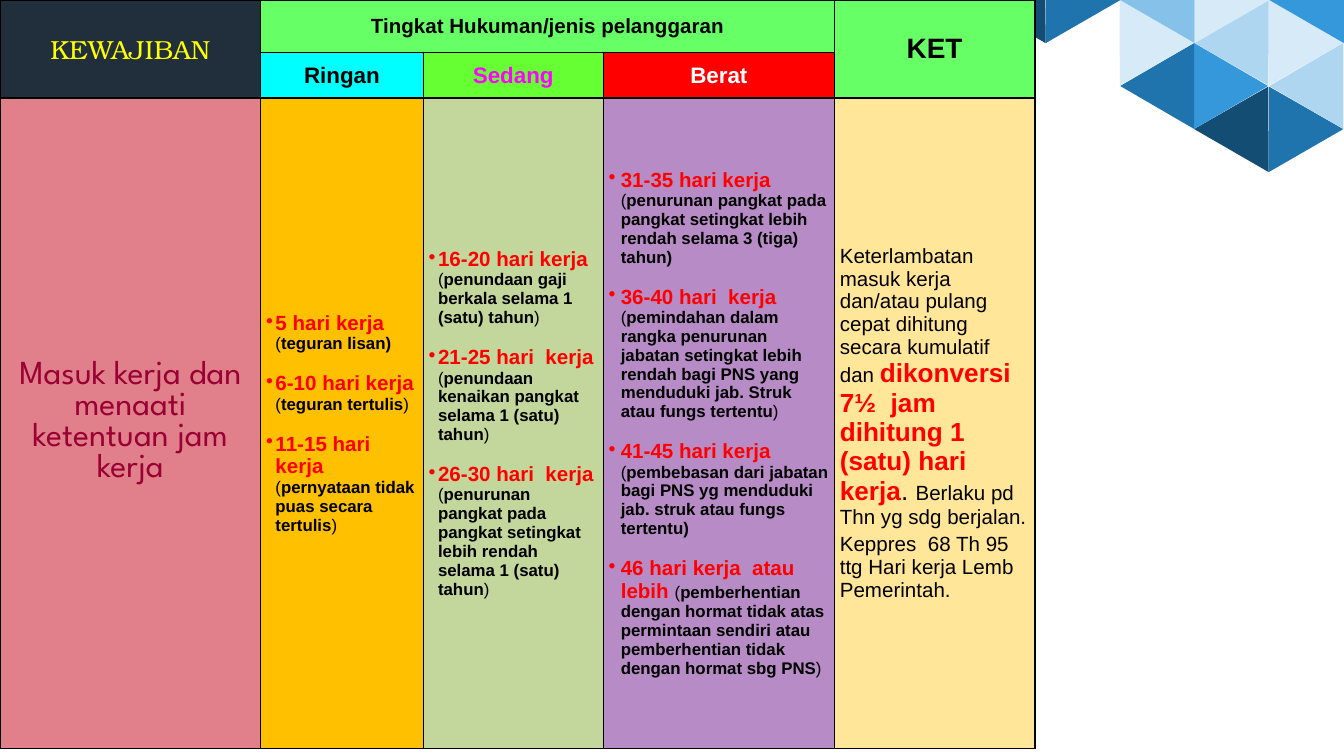
from math import cos, radians, sin

from lxml import etree
from pptx import Presentation
from pptx.dml.color import RGBColor
from pptx.enum.shapes import MSO_SHAPE
from pptx.enum.text import MSO_ANCHOR, PP_ALIGN
from pptx.oxml.ns import qn
from pptx.util import Inches, Pt

TRIANGLE = MSO_SHAPE.ISOSCELES_TRIANGLE
MIDDLE = MSO_ANCHOR.MIDDLE
CENTER, LEFT = PP_ALIGN.CENTER, PP_ALIGN.LEFT

BLACK = RGBColor(0x00, 0x00, 0x00)
WHITE = RGBColor(0xFF, 0xFF, 0xFF)
RED = RGBColor(0xFF, 0x00, 0x00)
YELLOW = RGBColor(0xFF, 0xFF, 0x00)
MAGENTA = RGBColor(0xFF, 0x00, 0xFF)
CYAN = RGBColor(0x00, 0xFF, 0xFF)
MAROON = RGBColor(0x99, 0x00, 0x33)
SLATE = RGBColor(0x21, 0x2E, 0x3C)
GREEN = RGBColor(0x66, 0xFF, 0x66)
LIME = RGBColor(0x66, 0xFF, 0x33)
ROSE = RGBColor(0xE1, 0x80, 0x8A)
AMBER = RGBColor(0xFF, 0xC0, 0x00)
SAGE = RGBColor(0xC3, 0xD6, 0x9B)
LILAC = RGBColor(0xB7, 0x8B, 0xC5)
CREAM = RGBColor(0xFF, 0xE6, 0x99)
NAVY = RGBColor(0x14, 0x4D, 0x73)
BLUE = RGBColor(0x1F, 0x74, 0xAD)
SKY = RGBColor(0x34, 0x98, 0xDB)
PALE_SKY = RGBColor(0x85, 0xC1, 0xE9)
PALE = RGBColor(0xAE, 0xD6, 0xF1)
PALEST = RGBColor(0xD6, 0xEA, 0xF8)

BODY_FONT = "Arial"
PAGE_WIDTH = 10
PAGE_HEIGHT = PAGE_WIDTH * 9 / 16
COLUMN_WIDTHS = [1.94, 1.21, 1.34, 1.72, 1.49]
ROW_HEIGHTS = [0.39, 0.33, 4.84]

# Hexagon centre relative to the corner box, then triangle rotation and colour
HEXAGONS = [
    (1.74, 0.64, [(30, NAVY), (330, BLUE), (270, PALE), (210, PALEST), (90, SKY), (150, PALE)]),
    (0.63, 0.64, [(270, BLUE), (210, PALEST)]),
    (1.19, -0.32, [(30, PALE_SKY), (330, PALEST)]),
    (0.08, -0.32, [(30, NAVY), (330, BLUE)]),
    (2.30, -0.32, [(30, SKY)]),
]

# Row, column, text, size, colour, fill, bold, font
LABELS = [
    (0, 0, "KEWAJIBAN", 14, YELLOW, SLATE, False, "TeX Gyre Bonum"),
    (0, 1, "Tingkat Hukuman/jenis pelanggaran", 11, BLACK, GREEN, True, BODY_FONT),
    (0, 4, "KET", 15, BLACK, GREEN, True, BODY_FONT),
    (1, 1, "Ringan", 12, BLACK, CYAN, True, BODY_FONT),
    (1, 2, "Sedang", 12, MAGENTA, LIME, True, BODY_FONT),
    (1, 3, "Berat", 12, WHITE, RED, True, BODY_FONT),
    (2, 0, "Masuk kerja dan menaati ketentuan jam kerja", 18, MAROON, ROSE, False, "League Spartan"),
]

# Column, fill, indent, then days absent, penalty and closing mark
PENALTIES = [
    (1, AMBER, 0.07, [
        ("5 hari kerja ", "teguran lisan)", ""),
        ("6-10 hari kerja ", "teguran tertulis", ")"),
        ("11-15 hari kerja ", "pernyataan tidak puas secara tertulis", ")"),
    ]),
    (2, SAGE, 0.07, [
        ("16-20 hari kerja ", "penundaan gaji berkala selama 1 (satu) tahun", ")"),
        ("21-25 hari  kerja ", "penundaan kenaikan pangkat selama 1 (satu) tahun", ")"),
        ("26-30 hari  kerja ",
         "penurunan pangkat pada pangkat setingkat lebih rendah selama 1 (satu) tahun", ")"),
    ]),
    (3, LILAC, 0.09, [
        ("31-35 hari kerja  ",
         "penurunan pangkat pada pangkat setingkat lebih rendah selama 3 (tiga) tahun)", ""),
        ("36-40 hari  kerja ",
         "pemindahan dalam rangka penurunan jabatan setingkat lebih rendah bagi PNS yang "
         "menduduki jab. Struk atau fungs tertentu", ")"),
        ("41-45 hari kerja  ",
         "pembebasan dari jabatan bagi PNS yg menduduki jab. struk atau fungs tertentu)", ""),
        ("46 hari kerja  atau lebih ",
         "pemberhentian dengan hormat tidak atas permintaan sendiri atau pemberhentian "
         "tidak dengan hormat sbg PNS", ")"),
    ]),
]

# Paragraphs of text, size, colour, bold
REMARKS = [
    [("Keterlambatan masuk kerja dan/atau pulang cepat dihitung secara kumulatif dan ",
      11, BLACK, False),
     ("dikonversi 7½  jam dihitung 1 (satu) hari kerja", 14, RED, True),
     (". ", 14, BLACK, False),
     ("Berlaku pd Thn yg sdg berjalan.", 11, BLACK, False)],
    [("Keppres  68 Th 95  ttg Hari kerja Lemb Pemerintah.", 11, BLACK, False)],
]


def add_hexagon_corner(page, left, top):
    """Each triangle points at the centre of its hexagon."""
    width, height, radius = 0.64, 0.55, 0.28
    for center_x, center_y, triangles in HEXAGONS:
        for rotation, color in triangles:
            x = left + center_x - radius * sin(radians(rotation)) - width / 2
            y = top + center_y + radius * cos(radians(rotation)) - height / 2
            shape = page.shapes.add_shape(
                TRIANGLE, Inches(x), Inches(y), Inches(width), Inches(height))
            shape.rotation = rotation
            shape.shadow.inherit = False
            shape.fill.solid()
            shape.fill.fore_color.rgb = color
            shape.line.fill.background()


def style_cell(cell, fill):
    cell.vertical_anchor = MIDDLE
    cell.margin_left = cell.margin_right = Inches(0.04)
    cell.margin_top = cell.margin_bottom = Inches(0.04)
    properties = cell._tc.get_or_add_tcPr()
    for side in ("a:lnL", "a:lnR", "a:lnT", "a:lnB"):
        line = etree.SubElement(properties, qn(side), w=str(Pt(1)))
        solid = etree.SubElement(line, qn("a:solidFill"))
        etree.SubElement(solid, qn("a:srgbClr"), val=str(BLACK))
    cell.fill.solid()
    cell.fill.fore_color.rgb = fill


def add_span(para, text, size, color, bold, font=BODY_FONT):
    span = para.add_run()
    span.text = text
    span.font.size = Pt(size)
    span.font.color.rgb = color
    span.font.bold = bold
    span.font.name = font


def write_paragraphs(cell, paragraphs, gap=0, indent=0, align=LEFT):
    """A positive indent makes a bulleted list."""
    frame = cell.text_frame
    for index, spans in enumerate(paragraphs):
        para = frame.add_paragraph() if index else frame.paragraphs[0]
        para.alignment = align
        if index:
            para.space_before = Pt(gap)
        if indent:
            properties = para._p.get_or_add_pPr()
            properties.set("marL", str(Inches(indent)))
            properties.set("indent", str(-Inches(indent)))
            etree.SubElement(properties, qn("a:buChar"), char="•")
        for span in spans:
            add_span(para, *span)


def add_penalty_table(page, left, top):
    table = page.shapes.add_table(
        len(ROW_HEIGHTS), len(COLUMN_WIDTHS), Inches(left), Inches(top),
        Inches(sum(COLUMN_WIDTHS)), Inches(sum(ROW_HEIGHTS))).table
    table.first_row = table.horz_banding = False
    for column, width in zip(table.columns, COLUMN_WIDTHS):
        column.width = Inches(width)
    for row, height in zip(table.rows, ROW_HEIGHTS):
        row.height = Inches(height)

    fills = {(row, column): fill for row, column, _, _, _, fill, _, _ in LABELS}
    fills.update({(2, column): fill for column, fill, _, _ in PENALTIES})
    fills.update({(1, 0): SLATE, (0, 2): GREEN, (0, 3): GREEN, (1, 4): GREEN, (2, 4): CREAM})
    for (row, column), fill in fills.items():
        style_cell(table.cell(row, column), fill)
    for first, last in (((0, 0), (1, 0)), ((0, 1), (0, 3)), ((0, 4), (1, 4))):
        table.cell(*first).merge(table.cell(*last))

    for row, column, text, size, color, _, bold, font in LABELS:
        write_paragraphs(table.cell(row, column), [[(text, size, color, bold, font)]], align=CENTER)
    for column, _, indent, items in PENALTIES:
        paragraphs = []
        for days, penalty, closing in items:
            spans = [(days, 11, RED, True), ("(", 9, BLACK, False), (penalty, 9, BLACK, True)]
            if closing:
                spans.append((closing, 9, BLACK, False))
            paragraphs.append(spans)
        write_paragraphs(table.cell(2, column), paragraphs, gap=10, indent=indent)
    write_paragraphs(table.cell(2, 4), REMARKS, gap=2.5)


def main():
    deck = Presentation()
    deck.slide_width, deck.slide_height = Inches(PAGE_WIDTH), Inches(PAGE_HEIGHT)
    page = deck.slides.add_slide(deck.slide_layouts[6])
    add_hexagon_corner(page, 7.7, 0)
    add_penalty_table(page, 0, 0)
    deck.save("out.pptx")


if __name__ == "__main__":
    main()
